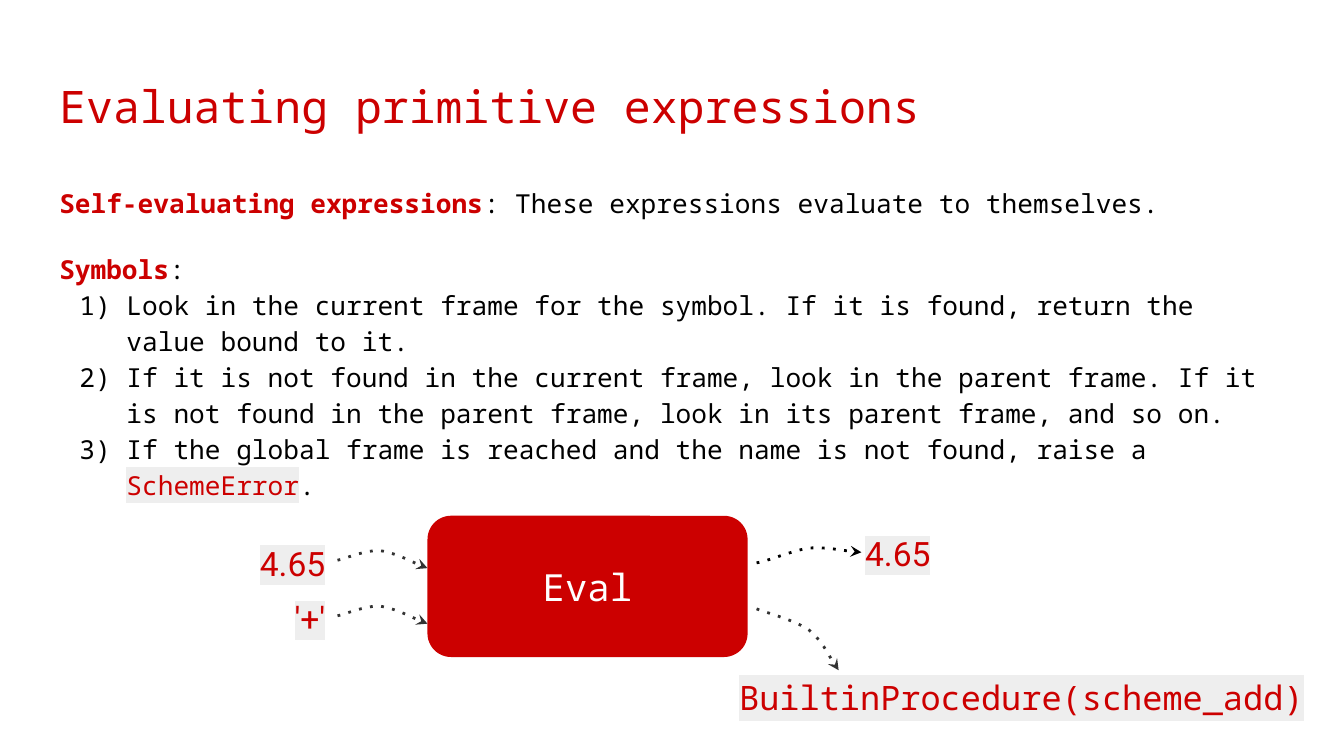
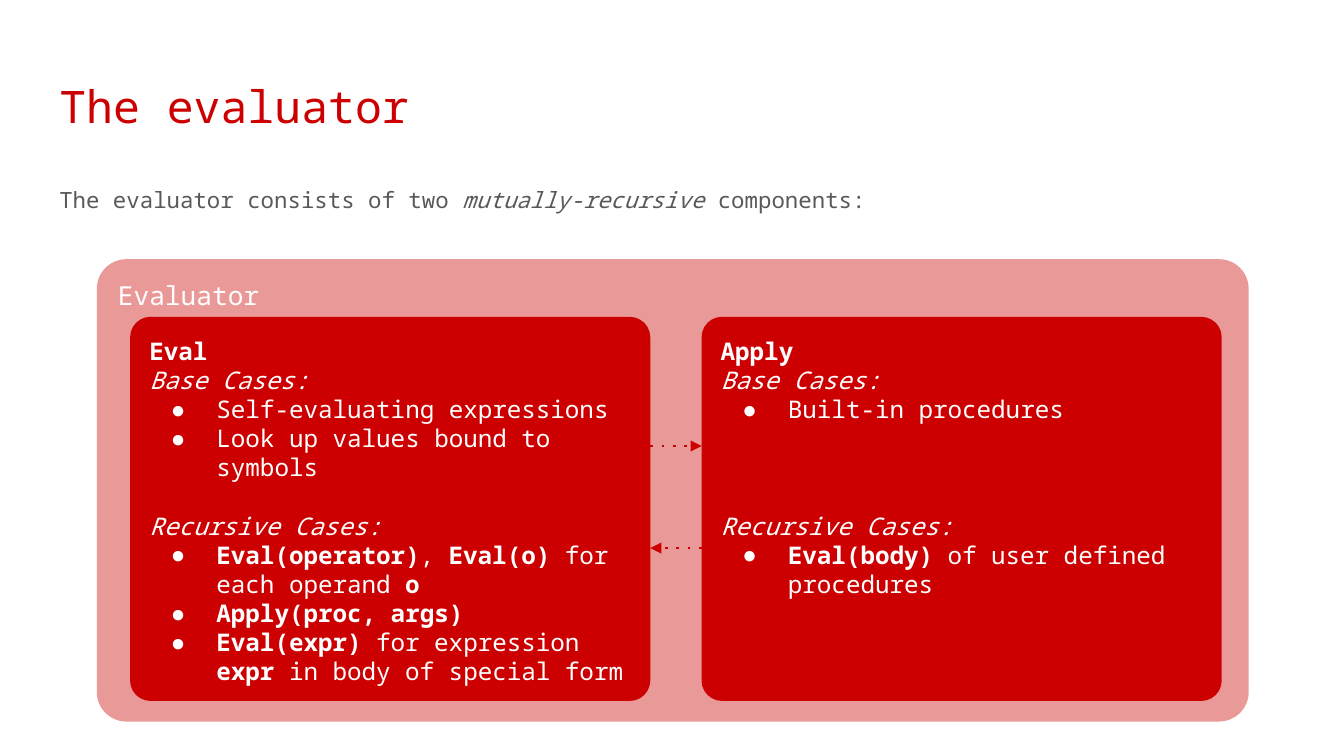
from dataclasses import dataclass
from typing import NamedTuple, Optional

from lxml import etree
from pptx import Presentation
from pptx import util as u
from pptx.dml.color import RGBColor
from pptx.enum import shapes, text
from pptx.oxml import ns


@dataclass(frozen=True)
class Theme:
    mono: str = "Noto Sans Mono"
    sans: str = "Roboto"
    red: str = "CC0000"
    pink: str = "EA9999"
    black: str = "000000"
    charcoal: str = "333333"
    grey: str = "595959"
    code_back: str = "EEEEEE"
    white: str = "FFFFFF"
    title_size: float = 24
    eval_size: float = 20
    value_size: float = 18
    body_size: float = 14
    component_size: float = 13
    intro_size: float = 12
    line_width: float = 1.5
    body_spacing: float = 1.15


THEME = Theme()


class Area(NamedTuple):
    """Left, top, width and height in centimetres."""
    left: float
    top: float
    width: float
    height: float


class Span(NamedTuple):
    text: str
    bold: bool = False
    italic: bool = False
    color: Optional[str] = None
    highlight: Optional[str] = None


class Bullet(NamedTuple):
    tag: str
    attribute: str
    value: str
    hanging: float


class Para(NamedTuple):
    spans: list[Span]
    bullet: Optional[Bullet] = None
    before: float = 0


class Style(NamedTuple):
    size: float
    color: str
    font: str = THEME.mono
    spacing: float = 1.0
    align: text.PP_ALIGN = text.PP_ALIGN.LEFT
    anchor: text.MSO_ANCHOR = text.MSO_ANCHOR.TOP


class Value(NamedTuple):
    """An input or result of Eval."""
    text: str
    area: Area
    font: str = THEME.sans
    align: text.PP_ALIGN = text.PP_ALIGN.LEFT


class Curve(NamedTuple):
    """A start point, then three Bezier points for each segment."""
    points: list[tuple[float, float]]
    color: str = THEME.charcoal


class Component(NamedTuple):
    name: str
    base_cases: list[Para]
    recursive_cases: list[Para]
    gap_lines: int


class Call(NamedTuple):
    start: float
    end: float
    y: float


NUMBER = Bullet("a:buAutoNum", "type", "arabicParenR", 0.89)
DOT = Bullet("a:buChar", "char", "●", 0.86)
TITLE_AREA = Area(0.87, 1.24, 23.67, 1.6)
BODY_AREA = Area(0.87, 3.2, 23.67, 10.06)
INTRO_AREA = BODY_AREA._replace(height=1.04)
BODY_STYLE = Style(THEME.body_size, THEME.black, spacing=THEME.body_spacing)
INTRO_STYLE = Style(THEME.intro_size, THEME.grey, spacing=THEME.body_spacing)

PRIMITIVE_RULES = [
    Para([Span("Self-evaluating expressions", bold=True, color=THEME.red),
          Span(": These expressions evaluate to themselves.")]),
    Para([Span("Symbols", bold=True, color=THEME.red), Span(":")], before=16),
    Para([Span("Look in the current frame for the symbol. If it is found, "
               "return the value bound to it.")], NUMBER),
    Para([Span("If it is not found in the current frame, look in the parent frame. "
               "If it is not found in the parent frame, look in its parent frame, "
               "and so on.")], NUMBER),
    Para([Span("If the global frame is reached and the name is not found, raise a "),
          Span("SchemeError", color=THEME.red, highlight=THEME.code_back),
          Span(".")], NUMBER),
]
INPUT_STEP = 1.05
INPUTS = ["4.65", "'+'"]
INPUT_AREA = Area(1.42, 10.01, 4.98, 1.57)
INPUT_CURVE = [(6.38, 10.59), (6.5, 10.57), (6.91, 10.39), (7.19, 10.41),
               (7.49, 10.46), (7.92, 10.69), (8.08, 10.74)]
RESULTS = [
    Value("4.65", Area(16.1, 9.83, 2.16, 1.45)),
    Value("BuiltinProcedure(scheme_add)", Area(13.72, 12.55, 11.4, 1.45), THEME.mono),
]
RESULT_CURVES = [
    Curve([(14.3, 10.64), (14.48, 10.62), (14.96, 10.41), (15.29, 10.36),
           (15.62, 10.34), (16.1, 10.44), (16.28, 10.44)], THEME.black),
    Curve([(14.3, 11.51), (14.48, 11.58), (15.04, 11.73), (15.29, 11.91),
           (15.54, 12.12), (15.75, 12.55), (15.85, 12.67)]),
]

COMPONENT_AREA = Area(2.46, 5.99, 9.83, 7.26)
COMPONENT_STEP = 10.8
COMPONENTS = [
    Component(
        "Eval",
        [Para([Span("Self-evaluating expressions")], DOT),
         Para([Span("Look up values bound to symbols")], DOT)],
        [Para([Span("Eval(operator)", bold=True), Span(", "),
               Span("Eval(o)", bold=True), Span(" for each operand "),
               Span("o", bold=True)], DOT),
         Para([Span("Apply(proc, args)", bold=True)], DOT),
         Para([Span("Eval(expr)", bold=True), Span(" for expression "),
               Span("expr", bold=True), Span(" in body of special form")], DOT)],
        gap_lines=1),
    Component(
        "Apply",
        [Para([Span("Built-in procedures")], DOT)],
        [Para([Span("Eval(body)", bold=True),
               Span(" of user defined procedures")], DOT)],
        gap_lines=3),
]
EVAL_RIGHT = COMPONENT_AREA.left + COMPONENT_AREA.width
APPLY_LEFT = COMPONENT_AREA.left + COMPONENT_STEP
CALLS = [Call(EVAL_RIGHT, APPLY_LEFT, 8.43), Call(APPLY_LEFT, EVAL_RIGHT, 10.36)]


def rgb(color: str) -> RGBColor:
    return RGBColor.from_string(color)


def add_element(parent, tag: str, **attributes: str):
    return etree.SubElement(parent, ns.qn(tag), attributes)


def lengths(area: Area) -> list[u.Length]:
    return [u.Cm(value) for value in area]


def format_run(run, span: Span, style: Style) -> None:
    run.text = span.text
    font = run.font
    font.name, font.size = style.font, u.Pt(style.size)
    font.bold, font.italic = span.bold, span.italic
    font.color.rgb = rgb(span.color or style.color)
    if span.highlight:
        properties = run._r.get_or_add_rPr()
        highlight = etree.Element(ns.qn("a:highlight"))
        add_element(highlight, "a:srgbClr", val=span.highlight)
        properties.find(ns.qn("a:solidFill")).addnext(highlight)


def format_bullet(paragraph, bullet: Optional[Bullet], style: Style) -> None:
    properties = paragraph._p.get_or_add_pPr()
    properties.set("marL", str(u.Cm(1.27) if bullet else 0))
    properties.set("indent", str(-u.Cm(bullet.hanging) if bullet else 0))
    if bullet is None:
        add_element(properties, "a:buNone")
        return
    add_element(add_element(properties, "a:buClr"), "a:srgbClr", val=style.color)
    add_element(properties, "a:buFont", typeface=style.font)
    add_element(properties, bullet.tag, **{bullet.attribute: bullet.value})


def write(shape, paras: list[Para], style: Style) -> None:
    frame = shape.text_frame
    frame.word_wrap = True
    frame.auto_size = text.MSO_AUTO_SIZE.NONE
    frame.vertical_anchor = style.anchor
    frame.margin_left = frame.margin_right = u.Cm(0.25)
    frame.margin_top = frame.margin_bottom = u.Cm(0.25)
    for index, para in enumerate(paras):
        paragraph = frame.add_paragraph() if index else frame.paragraphs[0]
        format_bullet(paragraph, para.bullet, style)
        paragraph.alignment = style.align
        paragraph.line_spacing = style.spacing
        paragraph.space_before = u.Pt(para.before)
        paragraph.space_after = u.Pt(0)
        for span in para.spans:
            format_run(paragraph.add_run(), span, style)


def add_titled_slide(deck, title: str, body: list[Para], area: Area, style: Style):
    slide = deck.slides.add_slide(deck.slide_layouts[1])
    heading, content = slide.shapes.title, slide.placeholders[1]
    for holder, place in ((heading, TITLE_AREA), (content, area)):
        holder.left, holder.top, holder.width, holder.height = lengths(place)
    write(heading, [Para([Span(title)])], Style(THEME.title_size, THEME.red))
    write(content, body, style)
    return slide


def add_rounded_box(slide, area: Area, fill: str, rounding: float):
    box = slide.shapes.add_shape(shapes.MSO_SHAPE.ROUNDED_RECTANGLE, *lengths(area))
    box.adjustments[0] = rounding
    box.shadow.inherit = False
    box.fill.solid()
    box.fill.fore_color.rgb = rgb(fill)
    box.line.fill.background()
    return box


def add_label(slide, area: Area, span: Span, style: Style) -> None:
    write(slide.shapes.add_textbox(*lengths(area)), [Para([span])], style)


def add_value(slide, value: Value) -> None:
    style = Style(THEME.value_size, THEME.red, value.font, align=value.align)
    add_label(slide, value.area, Span(value.text, highlight=THEME.code_back), style)


def dot_line(arrow, color: str, head: str) -> None:
    arrow.line.color.rgb = rgb(color)
    arrow.line.width = u.Pt(THEME.line_width)
    outline = arrow._element.spPr.find(ns.qn("a:ln"))
    add_element(outline, "a:prstDash", val="dot")
    add_element(outline, "a:tailEnd", type=head)


def add_curve(slide, curve: Curve) -> None:
    start, *rest = [(u.Cm(x), u.Cm(y)) for x, y in curve.points]
    builder = slide.shapes.build_freeform(*start)
    builder.add_line_segments(rest, close=False)
    arrow = builder.convert_to_shape()
    outline = next(arrow._element.iter(ns.qn("a:path")))
    corners = outline.findall(ns.qn("a:lnTo"))
    for first in range(0, len(corners), 3):
        bezier = add_element(outline, "a:cubicBezTo")
        for corner in corners[first:first + 3]:
            bezier.append(corner[0])
            outline.remove(corner)
    arrow.shadow.inherit = False
    arrow.fill.background()
    dot_line(arrow, curve.color, "stealth")


def add_call(slide, call: Call) -> None:
    arrow = slide.shapes.add_connector(
        shapes.MSO_CONNECTOR.STRAIGHT,
        u.Cm(call.start), u.Cm(call.y), u.Cm(call.end), u.Cm(call.y))
    dot_line(arrow, THEME.red, "triangle")
    add_element(arrow._element.spPr, "a:effectLst")


def add_component(slide, component: Component, area: Area) -> None:
    style = Style(THEME.component_size, THEME.white)
    gap = component.gap_lines * THEME.component_size * 1.2
    box = add_rounded_box(slide, area, THEME.red, 0.053)
    write(box, [Para([Span(component.name, bold=True)]),
                Para([Span("Base Cases:", italic=True)]),
                *component.base_cases,
                Para([Span("Recursive Cases:", italic=True)], before=gap),
                *component.recursive_cases], style)


def build_primitives(deck) -> None:
    slide = add_titled_slide(deck, "Evaluating primitive expressions",
                             PRIMITIVE_RULES, BODY_AREA, BODY_STYLE)
    evaluator = add_rounded_box(slide, Area(8.08, 9.75, 6.05, 2.67), THEME.red, 0.167)
    write(evaluator, [Para([Span("Eval")])],
          Style(THEME.eval_size, THEME.white, align=text.PP_ALIGN.CENTER,
                anchor=text.MSO_ANCHOR.MIDDLE))
    for row, name in enumerate(INPUTS):
        drop = row * INPUT_STEP
        area = INPUT_AREA._replace(top=INPUT_AREA.top + drop)
        add_value(slide, Value(name, area, align=text.PP_ALIGN.RIGHT))
        add_curve(slide, Curve([(x, y + drop) for x, y in INPUT_CURVE]))
    for result, curve in zip(RESULTS, RESULT_CURVES):
        add_curve(slide, curve)
        add_value(slide, result)


def build_evaluator(deck) -> None:
    intro = Para([Span("The evaluator consists of two "),
                  Span("mutually-recursive", italic=True), Span(" components:")])
    slide = add_titled_slide(deck, "The evaluator", [intro], INTRO_AREA, INTRO_STYLE)
    add_rounded_box(slide, Area(1.83, 4.9, 21.77, 8.74), THEME.pink, 0.064)
    add_label(slide, Area(1.98, 5.03, 3.28, 1.04), Span("Evaluator"),
              Style(THEME.body_size, THEME.white))
    for column, component in enumerate(COMPONENTS):
        left = COMPONENT_AREA.left + column * COMPONENT_STEP
        add_component(slide, component, COMPONENT_AREA._replace(left=left))
    for call in CALLS:
        add_call(slide, call)


def main() -> None:
    deck = Presentation()
    deck.slide_width, deck.slide_height = u.Cm(25.4), u.Cm(14.29)
    build_primitives(deck)
    build_evaluator(deck)
    deck.save("out.pptx")


if __name__ == "__main__":
    main()
